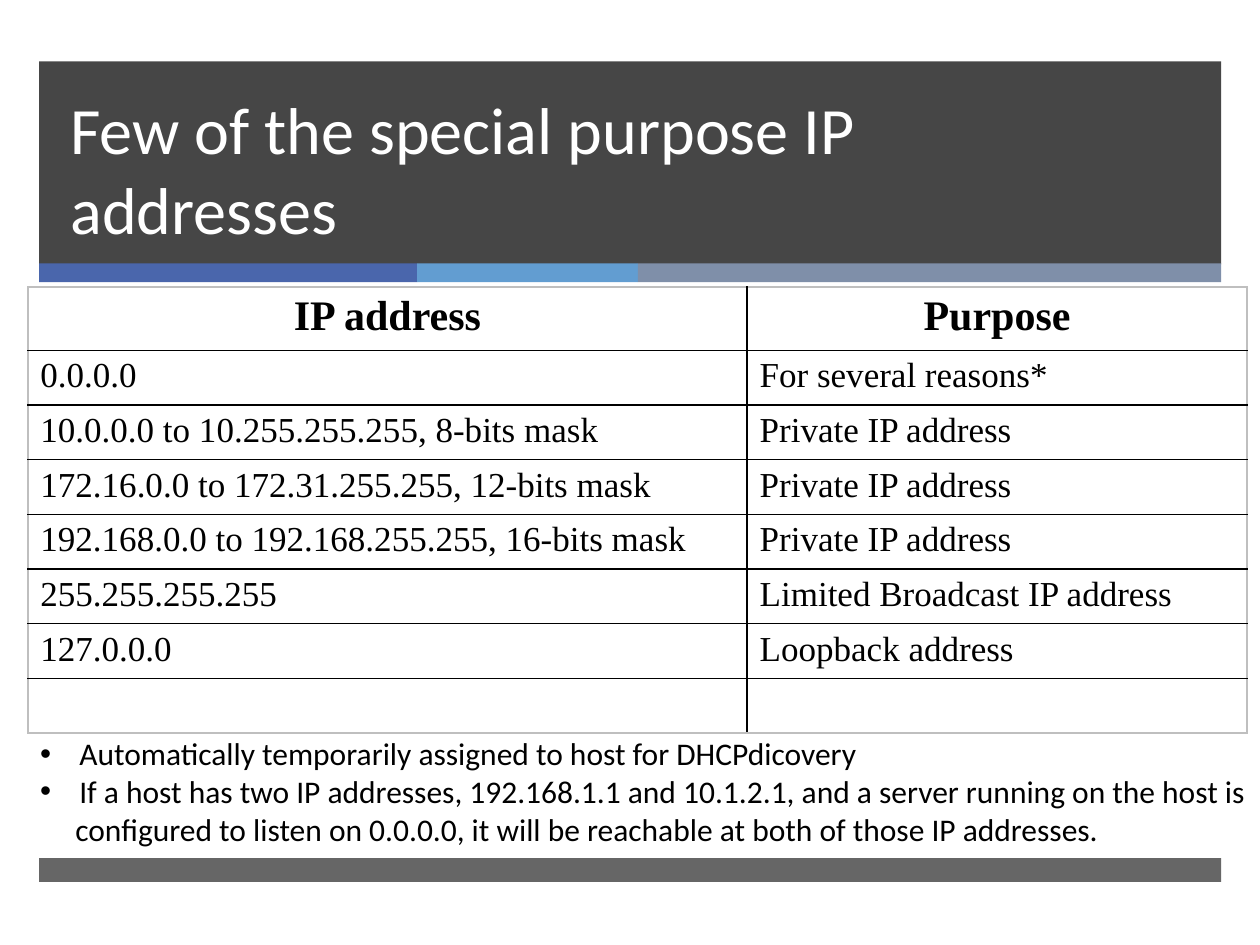
"""Builds a slide that lists special purpose IP addresses."""
from lxml import etree
from pptx import Presentation
from pptx.dml.color import RGBColor
from pptx.enum.shapes import MSO_SHAPE
from pptx.enum.text import MSO_ANCHOR, MSO_AUTO_SIZE, PP_ALIGN
from pptx.oxml.ns import qn
from pptx.util import Cm, Pt

RECTANGLE = MSO_SHAPE.RECTANGLE
BOTTOM = MSO_ANCHOR.BOTTOM
FIT_SHAPE = MSO_AUTO_SIZE.SHAPE_TO_FIT_TEXT
LEFT, CENTER = PP_ALIGN.LEFT, PP_ALIGN.CENTER

CHARCOAL = RGBColor(0x26, 0x26, 0x26)
BLUE = RGBColor(0x4A, 0x66, 0xAC)
SKY = RGBColor(0x62, 0x9D, 0xD1)
SLATE = RGBColor(0x7F, 0x8F, 0xA9)
SILVER = RGBColor(0xBF, 0xBF, 0xBF)
BLACK = RGBColor(0, 0, 0)
WHITE = RGBColor(0xFF, 0xFF, 0xFF)

MARGIN, BAND_WIDTH = 0.79, 23.83
STRIPES = [(7.62, BLUE), (4.45, SKY), (11.76, SLATE)]
PRIVATE = "Private IP address"
ADDRESSES = [
    ("IP address", "Purpose"),
    ("0.0.0.0", "For several reasons*"),
    ("10.0.0.0 to 10.255.255.255, 8-bits mask", PRIVATE),
    ("172.16.0.0 to 172.31.255.255, 12-bits mask", PRIVATE),
    ("192.168.0.0 to 192.168.255.255, 16-bits mask", PRIVATE),
    ("255.255.255.255", "Limited Broadcast IP address"),
    ("127.0.0.0", "Loopback address"),
    ("", ""),
]
NOTES = [
    ("Automatically temporarily assigned to host for DHCPdicovery", True),
    ("If a host has two IP addresses, 192.168.1.1 and 10.1.2.1, "
     "and a server running on the host is", True),
    ("configured to listen on 0.0.0.0, it will be reachable "
     "at both of those IP addresses.", False),
]


class SlideBuilder:
    """Holds the style and the current slide."""

    body_font = "Calibri"
    table_font = "Times New Roman"

    def __init__(self, page):
        self.page = page

    def style(self, para, name, size, color, bold=False):
        font = para.font
        font.name, font.size, font.bold = name, Pt(size), bold
        font.color.rgb = color

    def band(self, left, top, width, height, color, opacity=100):
        shape = self.page.shapes.add_shape(
            RECTANGLE, Cm(left), Cm(top), Cm(width), Cm(height))
        shape.shadow.inherit = False
        shape.fill.solid()
        shape.fill.fore_color.rgb = color
        shape.line.fill.background()
        if opacity < 100:
            tint = shape.fill._xPr.find(".//" + qn("a:srgbClr"))
            etree.SubElement(tint, qn("a:alpha"), val=str(opacity * 1000))

    def title(self, text, left, top, width, height):
        box = self.page.shapes.add_textbox(
            Cm(left), Cm(top), Cm(width), Cm(height))
        frame = box.text_frame
        frame.word_wrap = True
        frame.vertical_anchor = BOTTOM
        para = frame.paragraphs[0]
        para.text = text
        para.line_spacing = Pt(46)
        self.style(para, self.body_font, 37.8, WHITE)

    def border(self, cell, side, color):
        line = etree.SubElement(
            cell._tc.get_or_add_tcPr(), qn("a:ln" + side), w=str(Pt(1)))
        fill = etree.SubElement(line, qn("a:solidFill"))
        etree.SubElement(fill, qn("a:srgbClr"), val=str(color))

    def table(self, rows, left, top, widths, header_height, row_height):
        heights = [header_height] + [row_height] * (len(rows) - 1)
        table = self.page.shapes.add_table(
            len(rows), len(widths), Cm(left), Cm(top),
            Cm(sum(widths)), Cm(sum(heights))).table
        table.first_row = table.horz_banding = False
        for column, width in zip(table.columns, widths):
            column.width = Cm(width)
        for r, (row, height) in enumerate(zip(rows, heights)):
            table.rows[r].height = Cm(height)
            for c, text in enumerate(row):
                cell = table.cell(r, c)
                outer = {"L": c == 0, "R": c == len(widths) - 1,
                         "T": r == 0, "B": r == len(rows) - 1}
                for side, is_outer in outer.items():
                    self.border(cell, side, SILVER if is_outer else BLACK)
                cell.fill.background()
                para = cell.text_frame.paragraphs[0]
                para.text = text
                para.alignment = CENTER if r == 0 else LEFT
                self.style(para, self.table_font, 24 if r == 0 else 20,
                           BLACK, r == 0)

    def notes(self, lines, left, top, width, height):
        box = self.page.shapes.add_textbox(
            Cm(left), Cm(top), Cm(width), Cm(height))
        frame = box.text_frame
        frame.word_wrap = False
        frame.auto_size = FIT_SHAPE
        for index, (text, bulleted) in enumerate(lines):
            para = frame.add_paragraph() if index else frame.paragraphs[0]
            para.text = text
            self.style(para, self.body_font, 18, BLACK)
            properties = para._p.get_or_add_pPr()
            properties.set("marL", str(Cm(0.79 if bulleted else 0.71)))
            if bulleted:
                properties.set("indent", str(-Cm(0.79)))
                bullet_font = etree.Element(qn("a:buFont"), typeface="Arial")
                bullet = etree.Element(qn("a:buChar"), char="•")
                properties.insert(0, bullet_font)
                properties.insert(1, bullet)


def main():
    deck = Presentation()
    deck.slide_width, deck.slide_height = Cm(25.4), Cm(19.05)
    builder = SlideBuilder(deck.slides.add_slide(deck.slide_layouts[6]))
    builder.band(MARGIN, 1.24, BAND_WIDTH, 4.09, CHARCOAL, 85)
    left = MARGIN
    for width, color in STRIPES:
        builder.band(left, 5.31, width, 0.38, color)
        left += width
    builder.band(MARGIN, 17.3, BAND_WIDTH, 0.48, CHARCOAL, 70)
    builder.title("Few of the special purpose IP addresses",
                  1.17, 2.11, 21.69, 3.02)
    builder.table(ADDRESSES, 0.56, 5.79, (14.5, 10.08), 1.19, 1.04)
    builder.notes(NOTES, 0.56, 14.68, 25.25, 2.57)
    deck.save("out.pptx")


if __name__ == "__main__":
    main()
